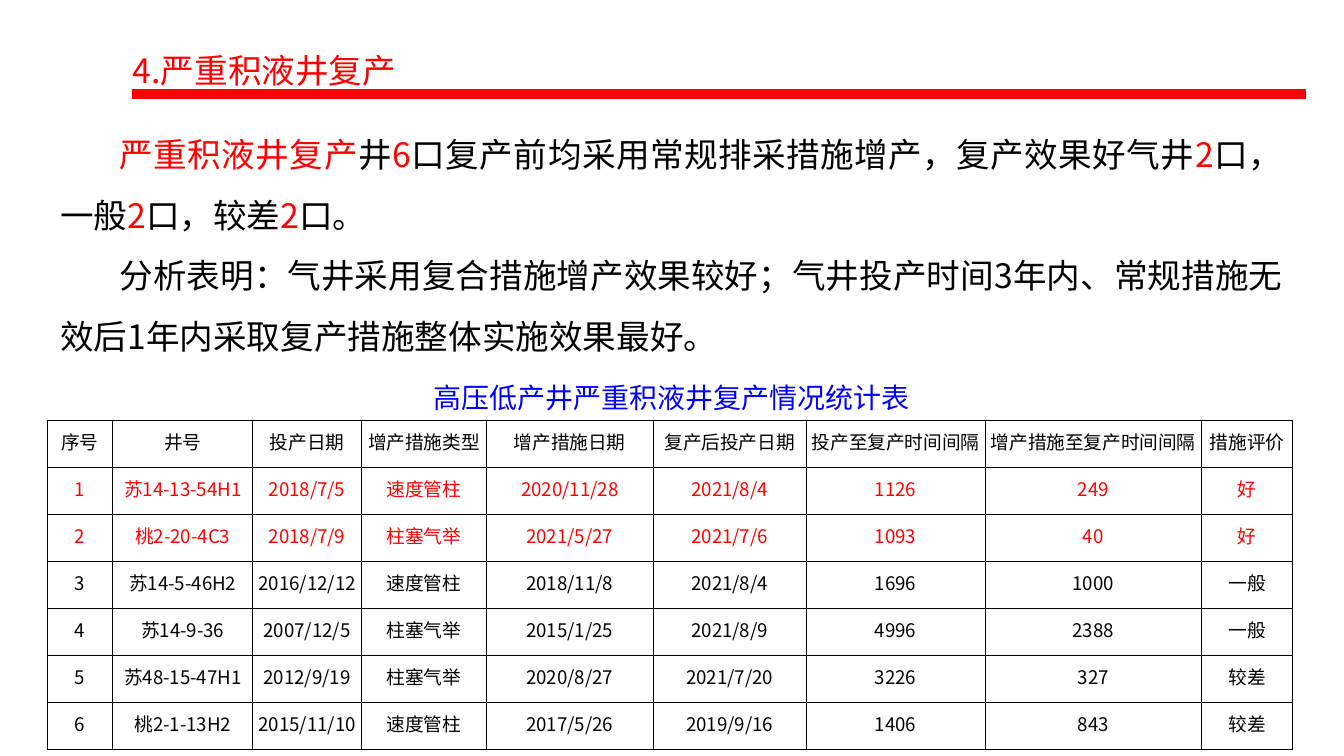
from dataclasses import dataclass

from lxml.etree import SubElement
from pptx import Presentation
from pptx.dml.color import RGBColor
from pptx.enum.shapes import MSO_CONNECTOR
from pptx.enum.text import MSO_ANCHOR, MSO_AUTO_SIZE, PP_ALIGN
from pptx.oxml.ns import qn
from pptx.util import Inches, Pt


@dataclass(frozen=True)
class Theme:
    font: str = "Noto Sans CJK SC"
    caption_font: str = "Noto Sans CJK JP"
    black: RGBColor = RGBColor(0, 0, 0)
    red: RGBColor = RGBColor(255, 0, 0)
    blue: RGBColor = RGBColor(0, 0, 255)
    body_size: Pt = Pt(18)
    caption_size: Pt = Pt(15)
    table_size: Pt = Pt(10)
    rule_width: Pt = Pt(5.25)
    border_width: Pt = Pt(0.5)


class SlideBuilder:
    def __init__(self, slide, theme):
        self.slide = slide
        self.theme = theme

    def style(self, paragraph, size, color, align, font=None):
        """Set one look for the paragraph, for Latin and East Asian letters alike."""
        name = font or self.theme.font
        paragraph.alignment = align
        paragraph.font.size = size
        paragraph.font.color.rgb = color
        paragraph.font.name = name
        defaults = paragraph._p.pPr.find(qn("a:defRPr"))
        SubElement(defaults, qn("a:ea")).set("typeface", name)

    def rule(self, left, right, y):
        line = self.slide.shapes.add_connector(
            MSO_CONNECTOR.STRAIGHT, Inches(left), Inches(y), Inches(right), Inches(y))
        line.line.color.rgb = self.theme.red
        line.line.width = self.theme.rule_width
        SubElement(line._element.spPr, qn("a:effectLst"))

    def text(self, box, paragraphs, size, color, align=PP_ALIGN.JUSTIFY,
             font=None, spacing=None, indent=0, side_inset=0.1):
        """Add a text box; parts between asterisks are emphasised in red."""
        frame = self.slide.shapes.add_textbox(*map(Inches, box)).text_frame
        frame.word_wrap = True
        frame.auto_size = MSO_AUTO_SIZE.SHAPE_TO_FIT_TEXT
        frame.margin_left = frame.margin_right = Inches(side_inset)
        for index, content in enumerate(paragraphs):
            paragraph = frame.add_paragraph() if index else frame.paragraphs[0]
            self.style(paragraph, size, color, align, font)
            paragraph.line_spacing = spacing
            properties = paragraph._p.get_or_add_pPr()
            properties.set("hangingPunct", "0")
            if indent:
                properties.set("marL", "0")
                properties.set("indent", str(Inches(indent)))
            for part_index, part in enumerate(content.split("*")):
                if part:
                    run = paragraph.add_run()
                    run.text = part
                    if part_index % 2:
                        run.font.color.rgb = self.theme.red

    def border(self, cell):
        properties = cell._tc.get_or_add_tcPr()
        for position, side in enumerate(("a:lnL", "a:lnR", "a:lnT", "a:lnB")):
            edge = properties.makeelement(qn(side), {"w": str(self.theme.border_width)})
            fill = SubElement(edge, qn("a:solidFill"))
            SubElement(fill, qn("a:srgbClr")).set("val", str(self.theme.black))
            properties.insert(position, edge)

    def table(self, left, top, widths, row_height, rows, highlight):
        """Add a bordered table; rows ending in the highlight value are red."""
        table = self.slide.shapes.add_table(
            len(rows), len(widths), Inches(left), Inches(top),
            Inches(sum(widths)), Inches(row_height * len(rows))).table
        table.first_row = table.horz_banding = False
        for column, width in zip(table.columns, widths):
            column.width = Inches(width)
        for table_row, values in zip(table.rows, rows):
            table_row.height = Inches(row_height)
            color = self.theme.red if values[-1] == highlight else self.theme.black
            for cell, value in zip(table_row.cells, values):
                cell.text = value
                cell.fill.background()
                cell.vertical_anchor = MSO_ANCHOR.MIDDLE
                cell.margin_left = cell.margin_right = cell.margin_top = Inches(0.01)
                cell.margin_bottom = Inches(0.05)
                self.style(cell.text_frame.paragraphs[0], self.theme.table_size,
                           color, PP_ALIGN.CENTER)
                self.border(cell)


FINDINGS = [
    "*严重积液井复产*井*6*口复产前均采用常规排采措施增产，复产效果好气井*2*口，"
    "一般*2*口，较差*2*口。",
    "分析表明：气井采用复合措施增产效果较好；气井投产时间3年内、"
    "常规措施无效后1年内采取复产措施整体实施效果最好。",
]
COLUMN_WIDTHS = [0.49, 1.04, 0.81, 0.93, 1.24, 1.14, 1.33, 1.61, 0.68]
WELLS = [
    ("序号", "井号", "投产日期", "增产措施类型", "增产措施日期", "复产后投产日期",
     "投产至复产时间间隔", "增产措施至复产时间间隔", "措施评价"),
    ("1", "苏14-13-54H1", "2018/7/5", "速度管柱", "2020/11/28", "2021/8/4", "1126", "249", "好"),
    ("2", "桃2-20-4C3", "2018/7/9", "柱塞气举", "2021/5/27", "2021/7/6", "1093", "40", "好"),
    ("3", "苏14-5-46H2", "2016/12/12", "速度管柱", "2018/11/8", "2021/8/4", "1696", "1000", "一般"),
    ("4", "苏14-9-36", "2007/12/5", "柱塞气举", "2015/1/25", "2021/8/9", "4996", "2388", "一般"),
    ("5", "苏48-15-47H1", "2012/9/19", "柱塞气举", "2020/8/27", "2021/7/20", "3226", "327", "较差"),
    ("6", "桃2-1-13H2", "2015/11/10", "速度管柱", "2017/5/26", "2019/9/16", "1406", "843", "较差"),
]


def main():
    presentation = Presentation()
    presentation.slide_width = Inches(10)
    presentation.slide_height = Inches(10 * 9 / 16)
    theme = Theme()
    builder = SlideBuilder(
        presentation.slides.add_slide(presentation.slide_layouts[6]), theme)

    builder.rule(0.98, 9.72, 0.7)
    builder.text((0.89, 0.14, 9.29, 0.58), ["4.严重积液井复产"],
                 theme.body_size, theme.red, spacing=1.6)
    builder.text((0.35, 0.8, 9.29, 1.92), FINDINGS,
                 theme.body_size, theme.black, spacing=1.5, indent=0.44)
    builder.text((2.95, 2.78, 4.1, 0.35), ["高压低产井严重积液井复产情况统计表"],
                 theme.caption_size, theme.blue, PP_ALIGN.CENTER,
                 font=theme.caption_font, side_inset=0)
    builder.table(0.35, 3.13, COLUMN_WIDTHS, 0.35, WELLS, highlight="好")

    presentation.save("out.pptx")


if __name__ == "__main__":
    main()
